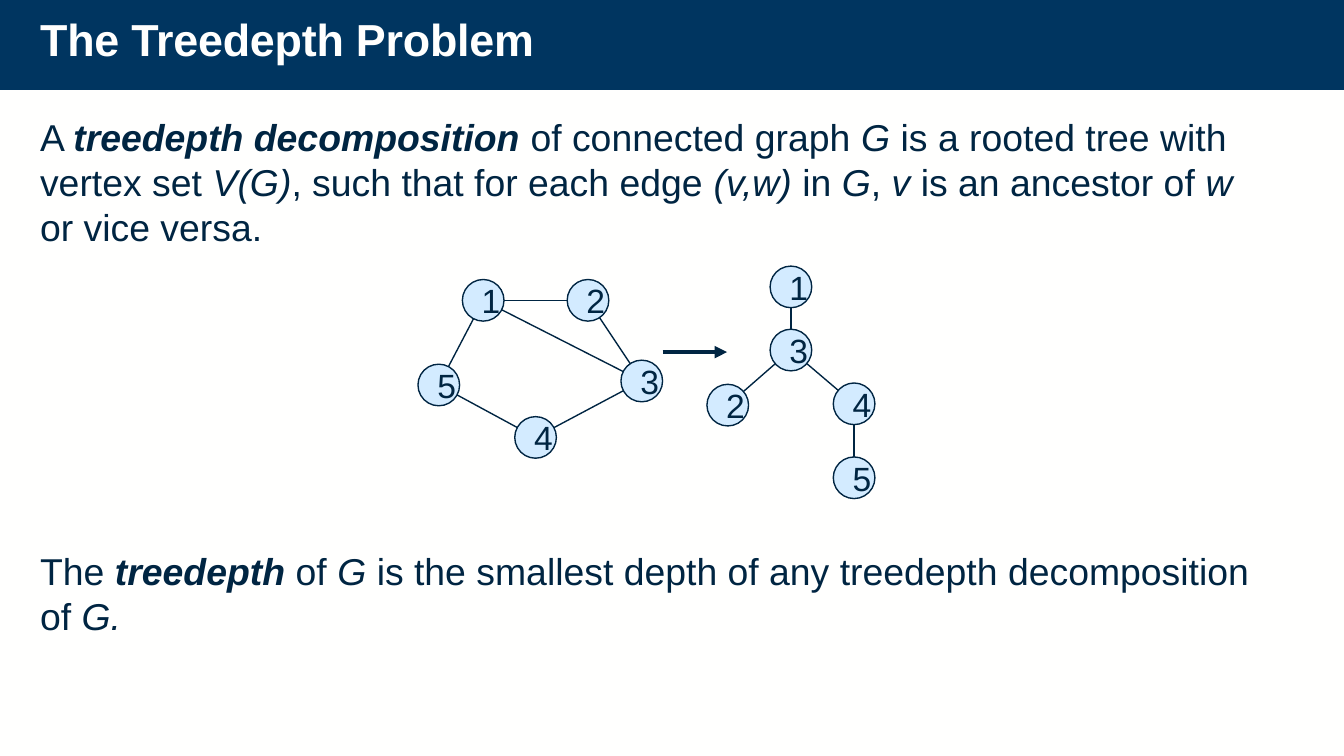
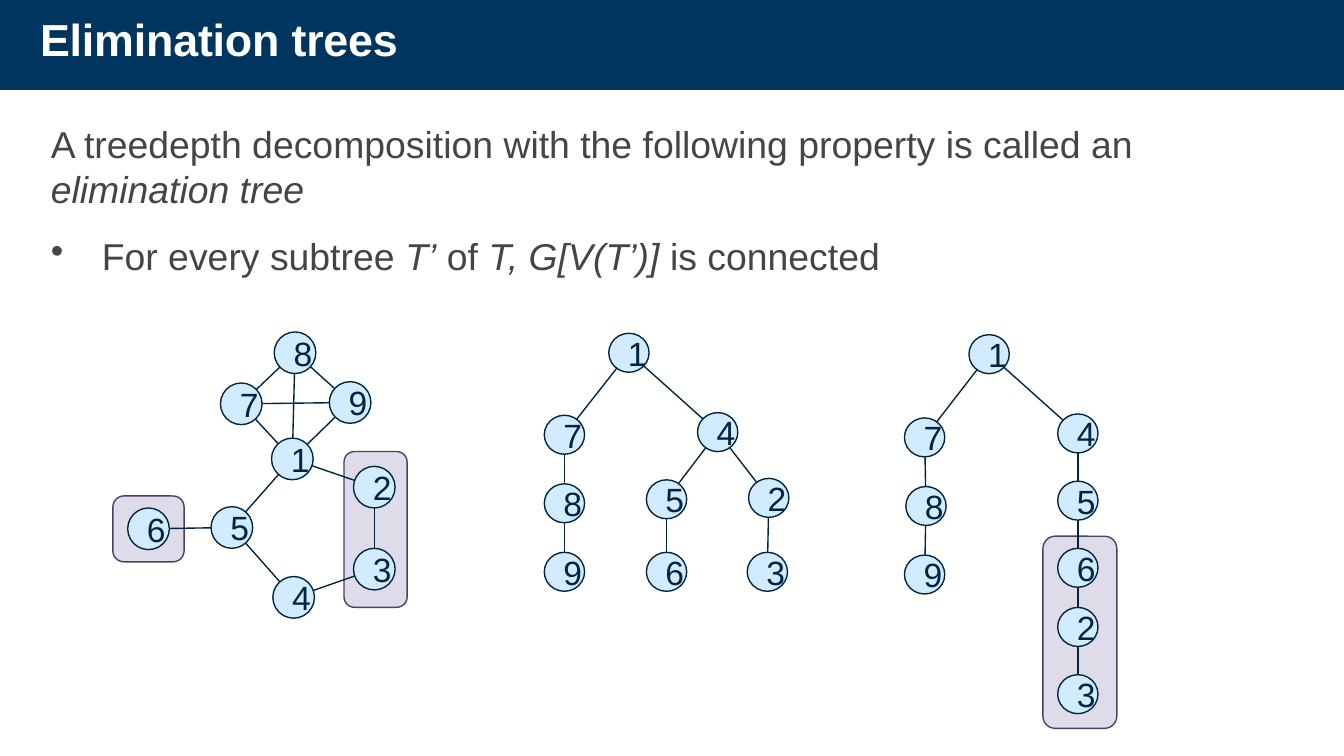
import math

from lxml import etree
from pptx import Presentation
from pptx import util as u
from pptx.dml.color import RGBColor
from pptx.enum import shapes, text
from pptx.oxml import ns

COLORS = {
    "background": "FFFFFE",
    "band": "003560",
    "ink": "002542",
    "body": "454545",
    "node": "D3EBFF",
    "highlight": "DFDBE9",
    "highlight_line": "4A3F68",
}
FONT = "Arial"
GRAPH_NODE = (0.31, 0.31)
TREE_NODE = (0.3, 0.29)


def color(name):
    return RGBColor.from_string(COLORS[name])


def inches(*lengths):
    return [u.Inches(length) for length in lengths]


class Deck:
    def __init__(self):
        self.presentation = Presentation()
        self.presentation.slide_width = u.Inches(10)
        self.presentation.slide_height = u.Inches(10 * 9 / 16)
        self.slide = None

    def add_slide(self, title, highlights=()):
        self.slide = self.presentation.slides.add_slide(self.presentation.slide_layouts[6])
        fill = self.slide.background.fill
        fill.solid()
        fill.fore_color.rgb = color("background")
        for box in highlights:
            self.shape(self.slide.shapes, shapes.MSO_SHAPE.ROUNDED_RECTANGLE, box,
                       "highlight", "highlight_line")
        self.shape(self.slide.shapes, shapes.MSO_SHAPE.RECTANGLE, (0, 0, 10, 0.67), "band")
        paragraph = self.text_box((0.2, 0.08, 4.09, 0.55)).paragraphs[0]
        paragraph.line_spacing = 0.9
        run = self.run(paragraph, title, 24, "background", "b")
        run.font._element.set("spc", "-10")

    def shape(self, container, preset, box, fill, line=None):
        shape = container.add_shape(preset, *inches(*box))
        shape.shadow.inherit = False
        shape.fill.solid()
        shape.fill.fore_color.rgb = color(fill)
        if line:
            shape.line.color.rgb = color(line)
            shape.line.width = u.Pt(0.75)
        else:
            shape.line.fill.background()
        return shape

    def text_box(self, box):
        frame = self.slide.shapes.add_textbox(*inches(*box)).text_frame
        frame.word_wrap = True
        return frame

    def run(self, paragraph, words, size, ink, style=""):
        run = paragraph.add_run()
        run.text = words
        run.font.name = FONT
        run.font.size = u.Pt(size)
        run.font.color.rgb = color(ink)
        run.font.bold = "b" in style
        run.font.italic = "i" in style
        return run

    def body(self, box, runs, ink="ink", bullets=()):
        frame = self.text_box(box)
        self.fill_paragraph(frame.paragraphs[0], runs, ink)
        for bullet_runs in bullets:
            paragraph = frame.add_paragraph()
            properties = paragraph._p.get_or_add_pPr()
            properties.set("marL", str(u.Inches(0.38)))
            properties.set("indent", str(-u.Inches(0.38)))
            etree.SubElement(properties, ns.qn("a:buChar")).set("char", "•")
            paragraph.space_before = u.Pt(12)
            self.fill_paragraph(paragraph, bullet_runs, ink)

    def fill_paragraph(self, paragraph, runs, ink):
        for words, style in runs:
            self.run(paragraph, words, 20, ink, style)

    def line(self, container, start, end, width=0.75, arrow=False):
        connector = container.add_connector(
            shapes.MSO_CONNECTOR.STRAIGHT, *inches(*start, *end))
        connector.line.color.rgb = color("ink")
        connector.line.width = u.Pt(width)
        if arrow:
            outline = connector.line._get_or_add_ln()
            etree.SubElement(outline, ns.qn("a:tailEnd")).set("type", "triangle")
        etree.SubElement(connector._element.spPr, ns.qn("a:effectLst"))

    def graph(self, nodes, edges, size=GRAPH_NODE, trim=0):
        container = self.slide.shapes.add_group_shape().shapes
        width, height = size
        centers = {label: (left + width / 2, top + height / 2)
                   for label, (left, top) in nodes.items()}
        for first, second in edges.split():
            (x1, y1), (x2, y2) = centers[first], centers[second]
            share = trim / math.dist((x1, y1), (x2, y2))
            dx, dy = (x2 - x1) * share, (y2 - y1) * share
            self.line(container, (x1 + dx, y1 + dy), (x2 - dx, y2 - dy))
        for label, corner in nodes.items():
            shape = self.shape(container, shapes.MSO_SHAPE.OVAL, (*corner, *size), "node", "ink")
            shape.text_frame.vertical_anchor = text.MSO_ANCHOR.MIDDLE
            paragraph = shape.text_frame.paragraphs[0]
            paragraph.alignment = text.PP_ALIGN.CENTER
            self.run(paragraph, label, 18, "ink")

    def tree(self, nodes, edges):
        self.graph(nodes, edges, TREE_NODE, trim=0.14)


def treedepth_slide(deck):
    deck.add_slide("The Treedepth Problem")
    deck.body((0.2, 0.8, 9.37, 1.11), [
        ("A ", ""), ("treedepth decomposition ", "bi"), ("of connected graph ", ""),
        ("G", "i"), (" is a rooted tree with vertex set ", ""), ("V(G)", "i"),
        (", such that for each edge ", ""), ("(v,w)", "i"), (" in ", ""), ("G", "i"),
        (", ", ""), ("v", "i"), (" is an ancestor of ", ""), ("w", "i"),
        (" or vice versa.", ""),
    ])
    deck.graph({"1": (3.44, 2.08), "2": (4.22, 2.08), "3": (4.62, 2.68),
                "4": (3.83, 3.1), "5": (3.11, 2.71)}, "12 23 34 45 51 13")
    deck.graph({"1": (5.73, 1.98), "2": (5.26, 2.86), "3": (5.73, 2.45),
                "4": (6.2, 2.85), "5": (6.2, 3.4)}, "13 32 34 45")
    deck.line(deck.slide.shapes, (4.93, 2.62), (5.41, 2.62), 2.25, arrow=True)
    deck.body((0.2, 4.03, 9.37, 0.78), [
        ("The ", ""), ("treedepth", "bi"), (" of ", ""), ("G", "i"),
        (" is the smallest depth of any treedepth decomposition of ", ""), ("G.", "i"),
    ])


def elimination_slide(deck):
    deck.add_slide("Elimination trees", highlights=[
        (2.56, 3.36, 0.47, 1.16), (0.84, 3.69, 0.53, 0.49), (7.76, 3.99, 0.55, 1.43)])
    deck.body((0.28, 0.85, 8.74, 1.62), [
        ("A treedepth decomposition with the following property is called an ", ""),
        ("elimination tree", "i"),
    ], "body", bullets=[[
        ("For every subtree ", ""), ("T’", "i"), (" of ", ""),
        ("T, G[V(T’)] ", "i"), ("is connected", ""),
    ]])
    deck.graph({"1": (2.02, 3.26), "2": (2.63, 3.47), "5": (1.57, 3.77),
                "3": (2.63, 4.08), "4": (2.03, 4.29), "8": (2.04, 2.47),
                "9": (2.45, 2.84), "6": (0.95, 3.78), "7": (1.64, 2.85)},
               "91 71 18 15 89 56 87 12 23 34 45 79")
    deck.tree({"8": (4.05, 3.6), "7": (4.05, 3.09), "9": (4.05, 4.11),
               "4": (5.19, 3.07), "2": (5.57, 3.56), "5": (4.81, 3.57),
               "6": (4.81, 4.11), "3": (5.56, 4.11), "1": (4.53, 2.48)},
              "78 89 42 45 56 23 17 14")
    deck.tree({"8": (6.74, 3.62), "7": (6.73, 3.11), "9": (6.73, 4.13),
               "4": (7.87, 3.08), "2": (7.87, 4.52), "5": (7.87, 3.58),
               "6": (7.87, 4.08), "3": (7.87, 5.02), "1": (7.21, 2.49)},
              "43 78 89 17 14")


def main():
    deck = Deck()
    treedepth_slide(deck)
    elimination_slide(deck)
    deck.presentation.save("out.pptx")


if __name__ == "__main__":
    main()
